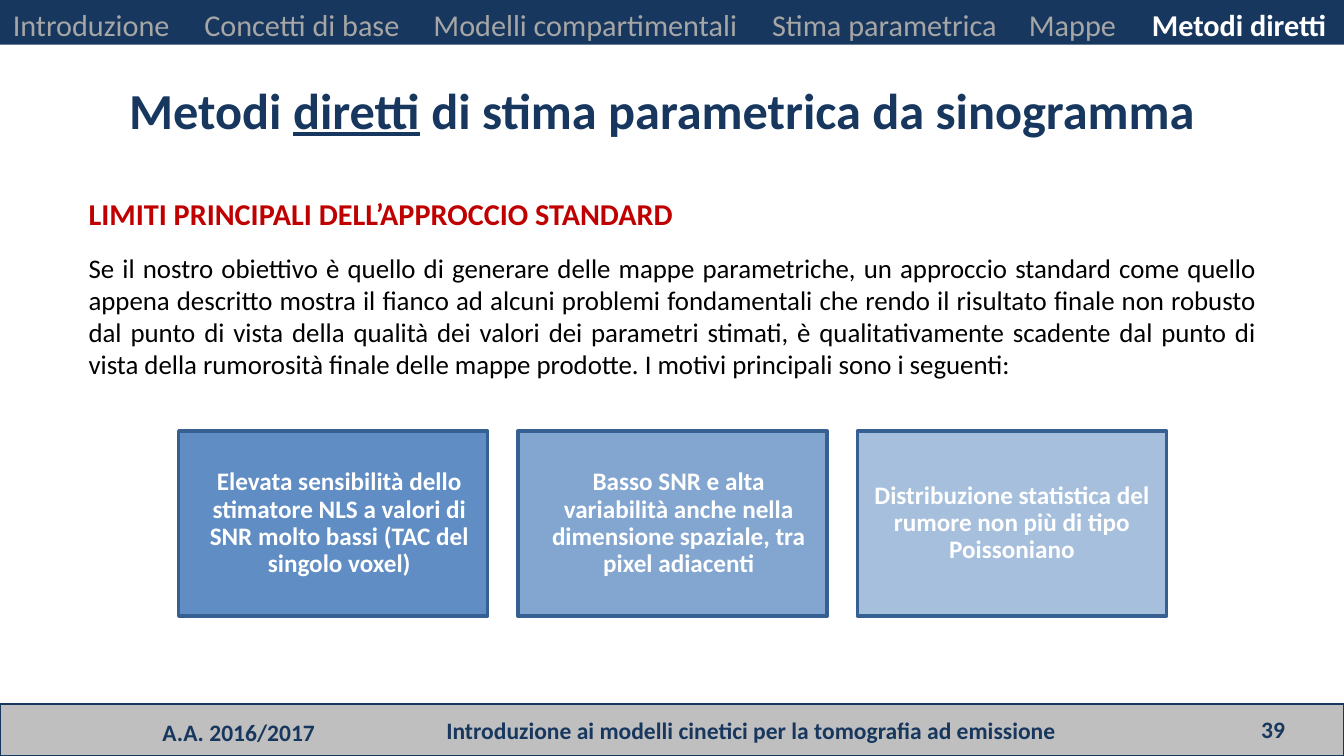
"""Build the slide on the limits of the standard parametric approach."""
from dataclasses import dataclass

from lxml import etree
from pptx import Presentation, util as u
from pptx.dml.color import RGBColor
from pptx.enum import shapes, text
from pptx.oxml import ns

NAV = [("Introduzione", 0.95), ("Concetti di base", 15.2),
       ("Modelli compartimentali", 32.25), ("Stima parametrica", 57.45),
       ("Mappe", 76.55), ("Metodi diretti", 85.7)]
ACTIVE = "Metodi diretti"
TITLE = [("Metodi ", False), ("diretti", True),
         (" di stima parametrica da sinogramma", False)]
HEADING = "LIMITI PRINCIPALI DELL’APPROCCIO STANDARD"
BODY = ("Se il nostro obiettivo è quello di generare delle mappe parametriche, "
        "un approccio standard come quello appena descritto mostra il fianco ad "
        "alcuni problemi fondamentali che rendo il risultato finale non robusto "
        "dal punto di vista della qualità dei valori dei parametri stimati, è "
        "qualitativamente scadente dal punto di vista della rumorosità finale "
        "delle mappe prodotte. I motivi principali sono i seguenti:")
CARDS = [
    ("Elevata sensibilità dello stimatore NLS a valori di SNR molto bassi "
     "(TAC del singolo voxel)", 90, 0.1),
    ("Basso SNR e alta variabilità anche nella dimensione spaziale, "
     "tra pixel adiacenti", 70, 0.1),
    ("Distribuzione statistica del rumore non più di tipo Poissoniano", 50, 0),
]
AL, ANCHOR = text.PP_ALIGN, text.MSO_ANCHOR
FOOTER = [
    ("A.A. 2016/2017", (11.2, 94.1, 17.3, 5.4), AL.LEFT),
    ("Introduzione ai modelli cinetici per la tomografia ad emissione",
     (28.9, 93.9, 54, 5.4), AL.CENTER),
    ("39", (86.8, 93.8, 9.7, 5.3), AL.RIGHT),
]


@dataclass(frozen=True)
class Theme:
    font: str = "Calibri"
    navy: str = "17375E"
    grey: str = "BFBFBF"
    muted: str = "A6A6A6"
    red: str = "C00000"
    black: str = "000000"
    white: str = "FFFFFF"
    card: str = "4F81BD"
    edge: str = "376092"
    title: int = 30
    head: int = 18
    body: int = 16
    small: int = 15
    foot: int = 14


T = Theme()
W, H = u.Inches(11.11), u.Inches(6.25)
CARD_LEFT, CARD_PITCH, CARD_W = 13.3, 25.25, 23
rgb = RGBColor.from_string


def grid(left, top, width, height):
    """Turn hundredths of the slide into lengths."""
    return [int(v * side / 100) for v, side in
            zip((left, top, width, height), (W, H, W, H))]


def style(p, size, color=None, bold=False, align=AL.LEFT):
    p.alignment = align
    f = p.font
    f.name, f.size, f.bold = T.font, u.Pt(size), bold
    if color:
        f.color.rgb = rgb(color)


def add_text(s, box):
    tf = s.shapes.add_textbox(*grid(*box)).text_frame
    tf.word_wrap = True
    return tf


def add_box(s, box, fill, line=None, width=0):
    sp = s.shapes.add_shape(shapes.MSO_SHAPE.RECTANGLE, *grid(*box))
    sp.shadow.inherit = False
    sp.fill.solid()
    sp.fill.fore_color.rgb = rgb(fill)
    if line:
        sp.line.color.rgb = rgb(line)
        sp.line.width = u.Pt(width)
    else:
        sp.line.fill.background()
    return sp


def add_nav(s):
    add_box(s, (0, 0, 100, 5.9), T.navy)
    tf = add_text(s, (0, 0, 100, 6.4))
    start = NAV[0][1]
    tf.margin_left, tf.margin_right = int(start * W / 100), 0
    p = tf.paragraphs[0]
    tabs = etree.SubElement(p._p.get_or_add_pPr(), ns.qn("a:tabLst"))
    for _, col in NAV[1:]:
        etree.SubElement(tabs, ns.qn("a:tab"), algn="l",
                         pos=str(int((col - start) * W / 100)))
    style(p, T.head)
    for i, (label, _) in enumerate(NAV):
        r = p.add_run()
        r.text = "\t" + label if i else label
        r.font.bold = label == ACTIVE
        r.font.color.rgb = rgb(T.white if label == ACTIVE else T.muted)


def add_title(s):
    sp = s.shapes.title
    sp.left, sp.top, sp.width, sp.height = grid(8.7, 9.6, 81.7, 9.8)
    tf = sp.text_frame
    tf.word_wrap, tf.auto_size = True, text.MSO_AUTO_SIZE.NONE
    tf.vertical_anchor = ANCHOR.TOP
    p = tf.paragraphs[0]
    style(p, T.title, T.navy, True)
    for words, underlined in TITLE:
        r = p.add_run()
        r.text = words
        if underlined:
            r.font.underline = True


def add_body(s):
    tf = add_text(s, (5.7, 25, 88.7, 26.4))
    head, body = tf.paragraphs[0], tf.add_paragraph()
    head.text, body.text = HEADING, BODY
    head.space_after = u.Pt(12)
    style(head, T.head, T.red, True, AL.JUSTIFY)
    style(body, T.body, T.black, False, AL.JUSTIFY)


def add_cards(s):
    for i, (words, opacity, indent) in enumerate(CARDS):
        sp = add_box(s, (CARD_LEFT + i * CARD_PITCH, 57, CARD_W, 24.5),
                     T.card, T.edge, 2)
        color = sp.fill._xPr.find(".//" + ns.qn("a:srgbClr"))
        etree.SubElement(color, ns.qn("a:alpha"), val=str(opacity * 1000))
        tf = sp.text_frame
        tf.word_wrap, tf.vertical_anchor = True, ANCHOR.MIDDLE
        tf.margin_left = tf.margin_right = u.Inches(0.06)
        tf.margin_top = tf.margin_bottom = u.Inches(0.06)
        p = tf.paragraphs[0]
        p.text, p.line_spacing = words, 0.9
        p._p.get_or_add_pPr().set("marL", str(u.Inches(indent)))
        style(p, T.small, T.white, True, AL.CENTER)


def add_footer(s):
    add_box(s, (0, 93.1, 100, 6.9), T.grey, T.navy, 1.5)
    for words, box, align in FOOTER:
        tf = add_text(s, box)
        tf.vertical_anchor = ANCHOR.MIDDLE
        p = tf.paragraphs[0]
        p.text = words
        style(p, T.foot, T.navy, True, align)


def main():
    prs = Presentation()
    prs.slide_width, prs.slide_height = W, H
    s = prs.slides.add_slide(prs.slide_layouts[5])
    for add in (add_footer, add_title, add_body, add_cards, add_nav):
        add(s)
    prs.save("out.pptx")


if __name__ == "__main__":
    main()
